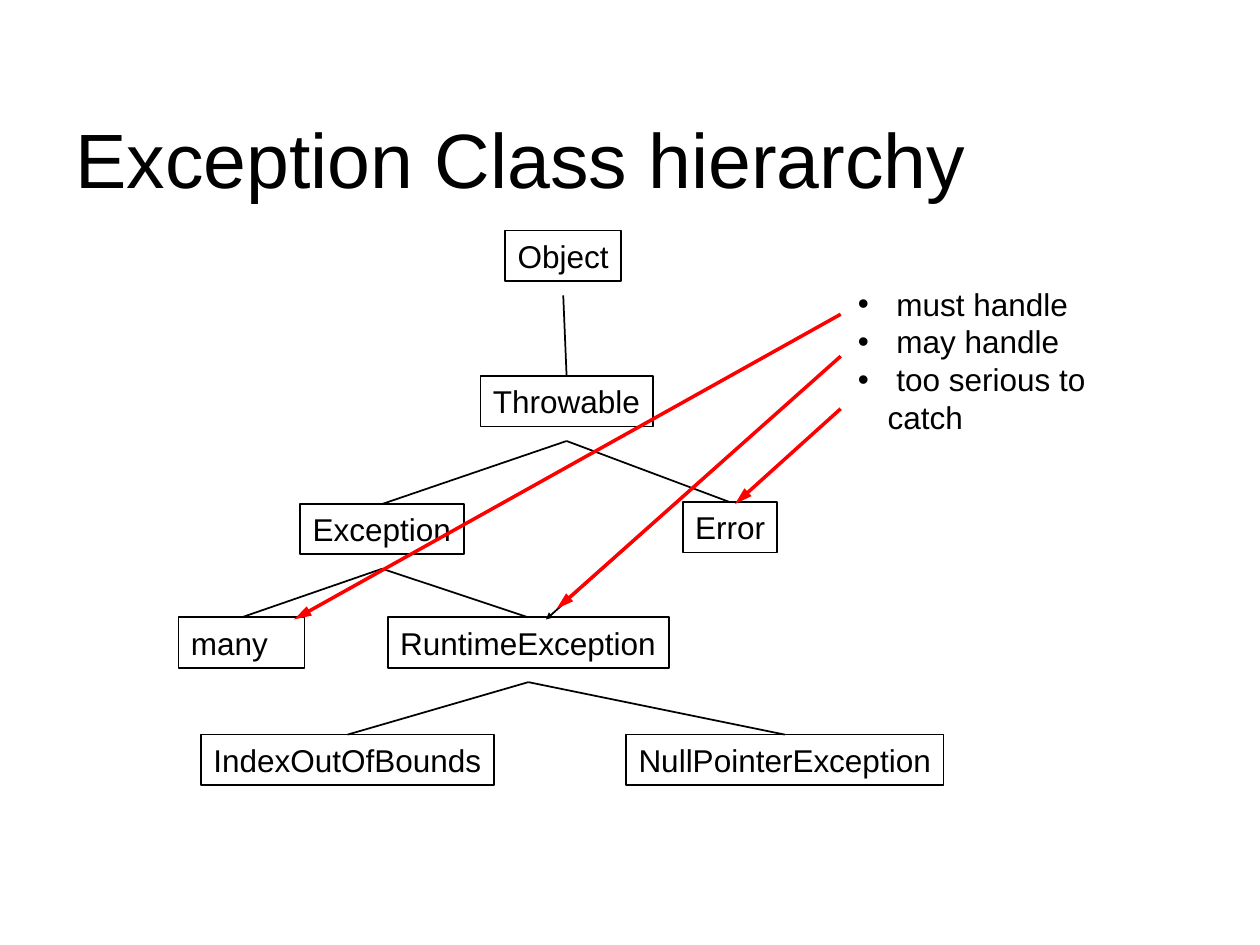
from lxml.etree import SubElement
from pptx import Presentation
from pptx.dml.color import RGBColor
from pptx.enum.shapes import MSO_CONNECTOR, MSO_SHAPE
from pptx.enum.text import MSO_ANCHOR, MSO_AUTO_SIZE, PP_ALIGN
from pptx.oxml.ns import qn
from pptx.util import Pt

COLORS = {"ink": "000000", "arrow": "FF0000"}
FONT = "Arial"
TITLE = "Exception Class hierarchy"
NOTES = [" must handle", " may handle", " too serious to catch"]

CLASSES = {
    "Object": (288.7, 131.8, 66.3),
    "Exception": (171.6, 288, 93.6),
    "Error": (390.2, 287, 54),
    "Throwable": (274.6, 215, 98.4),
    "NullPointerException": (357.8, 419.8, 181.4),
    "RuntimeException": (221.6, 352.8, 160.6),
    "many": (102, 352.8, 72),
    "IndexOutOfBounds": (114.8, 419.8, 167.6),
}
CHILDREN = {
    "Object": ["Throwable"],
    "Throwable": ["Error", "Exception"],
    "Exception": ["many", "RuntimeException"],
    "RuntimeException": ["NullPointerException", "IndexOutOfBounds"],
}
ARROWS = [
    ((480.4, 179.6), (168, 354), "arrow", 2, ("med", "lg")),
    ((480.4, 203.6), (312, 354), "ink", 1, ("sm", "sm")),
    ((480.4, 203.6), (318, 348), "arrow", 2, ("med", "lg")),
    ((480.4, 233.6), (420, 288), "arrow", 2, ("med", "lg")),
]
BOX_HEIGHT = 28.8
EDGE_GAP = 8.2
NOTE_INDENT = 17

FRAME_FORMAT = {
    "margin_left": Pt(7.2),
    "margin_right": Pt(7.2),
    "margin_top": Pt(3.6),
    "margin_bottom": Pt(3.6),
}


def color(name):
    return RGBColor.from_string(COLORS[name])


def apply(target, values):
    for name, value in values.items():
        setattr(target, name, value)


def write(shape, lines, size, bulleted=False, **frame_values):
    frame = shape.text_frame
    apply(frame, {**FRAME_FORMAT, **frame_values})
    for index, line in enumerate(lines):
        para = frame.add_paragraph() if index else frame.paragraphs[0]
        apply(para, {"text": line, "alignment": PP_ALIGN.LEFT})
        if bulleted:
            properties = para._p.get_or_add_pPr()
            properties.set("marL", str(Pt(NOTE_INDENT)))
            properties.set("indent", str(-Pt(NOTE_INDENT)))
            bullet_color = SubElement(properties, qn("a:buClr"))
            SubElement(bullet_color, qn("a:srgbClr"), val=COLORS["ink"])
            SubElement(properties, qn("a:buFont"), typeface=FONT)
            SubElement(properties, qn("a:buChar"), char="•")
        for span in para.runs:
            apply(span.font, {"name": FONT, "size": Pt(size)})
            span.font.color.rgb = color("ink")


def add_line(page, start, end, ink="ink", width=1, head=None):
    line = page.shapes.add_connector(
        MSO_CONNECTOR.STRAIGHT, *[Pt(value) for value in (*start, *end)]
    )
    line.line.color.rgb = color(ink)
    line.line.width = Pt(width)
    if head:
        head_width, head_length = head
        SubElement(line.line._get_or_add_ln(), qn("a:tailEnd"),
                   type="triangle", w=head_width, len=head_length)
    SubElement(line._element.spPr, qn("a:effectLst"))


def add_class(page, name):
    left, top, width = CLASSES[name]
    box = page.shapes.add_shape(
        MSO_SHAPE.RECTANGLE, Pt(left), Pt(top), Pt(width), Pt(BOX_HEIGHT)
    )
    box.shadow.inherit = False
    box.fill.background()
    box.line.color.rgb = color("ink")
    box.line.width = Pt(1)
    write(box, [name], 18, word_wrap=name == "many", margin_right=Pt(5),
          auto_size=MSO_AUTO_SIZE.NONE, vertical_anchor=MSO_ANCHOR.TOP)


def top_middle(name):
    left, top, width = CLASSES[name]
    return left + width / 2, top


def main():
    deck = Presentation()
    apply(deck, {"slide_width": Pt(720), "slide_height": Pt(540)})
    page = deck.slides.add_slide(deck.slide_layouts[5])

    title = page.shapes.title
    apply(title, {"left": Pt(36), "top": Pt(36), "width": Pt(648), "height": Pt(108)})
    write(title, [TITLE], 44, word_wrap=True,
          auto_size=MSO_AUTO_SIZE.NONE, vertical_anchor=MSO_ANCHOR.MIDDLE)

    for name in CLASSES:
        add_class(page, name)
    for parent, children in CHILDREN.items():
        middle, top = top_middle(parent)
        for child in children:
            add_line(page, (middle, top + BOX_HEIGHT + EDGE_GAP), top_middle(child))

    notes = page.shapes.add_textbox(Pt(483.1), Pt(159.1), Pt(181.4), Pt(72))
    write(notes, NOTES, 18, bulleted=True, word_wrap=True,
          auto_size=MSO_AUTO_SIZE.NONE, vertical_anchor=MSO_ANCHOR.TOP)

    for arrow in ARROWS:
        add_line(page, *arrow)
    deck.save("out.pptx")


if __name__ == "__main__":
    main()
